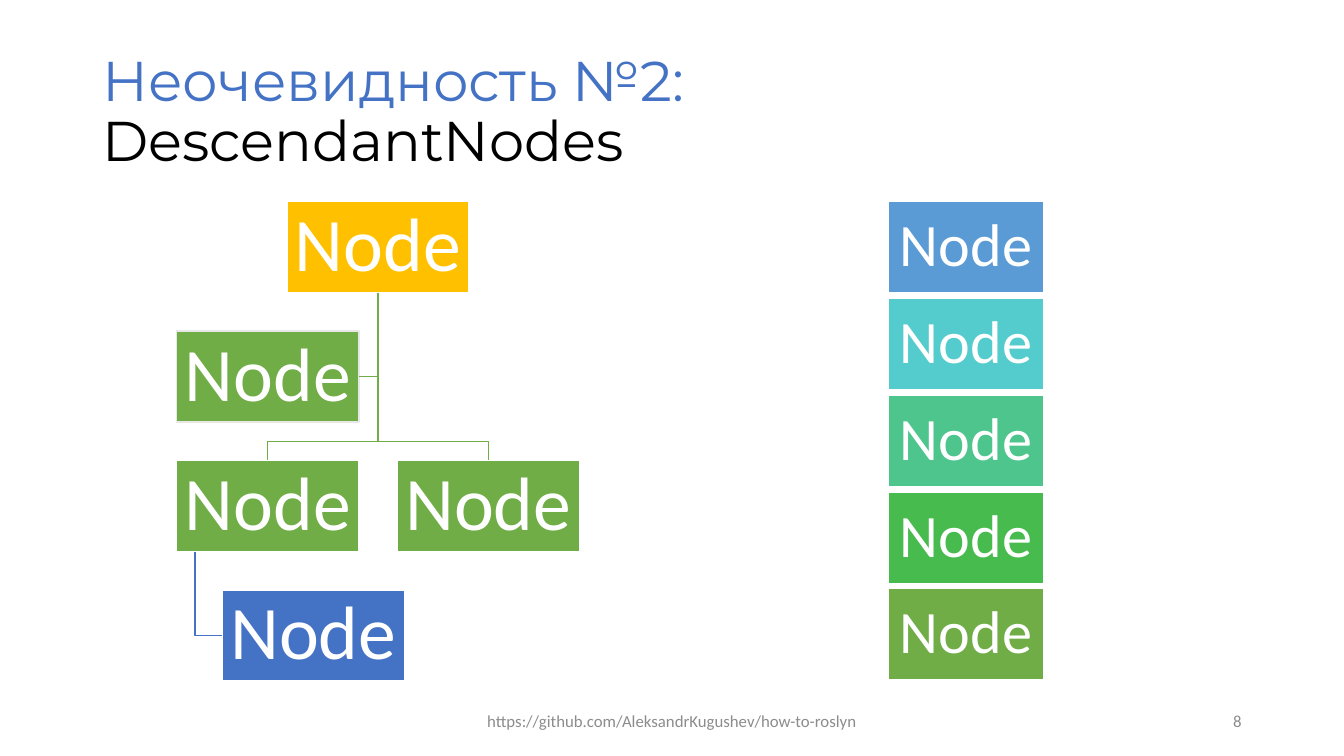
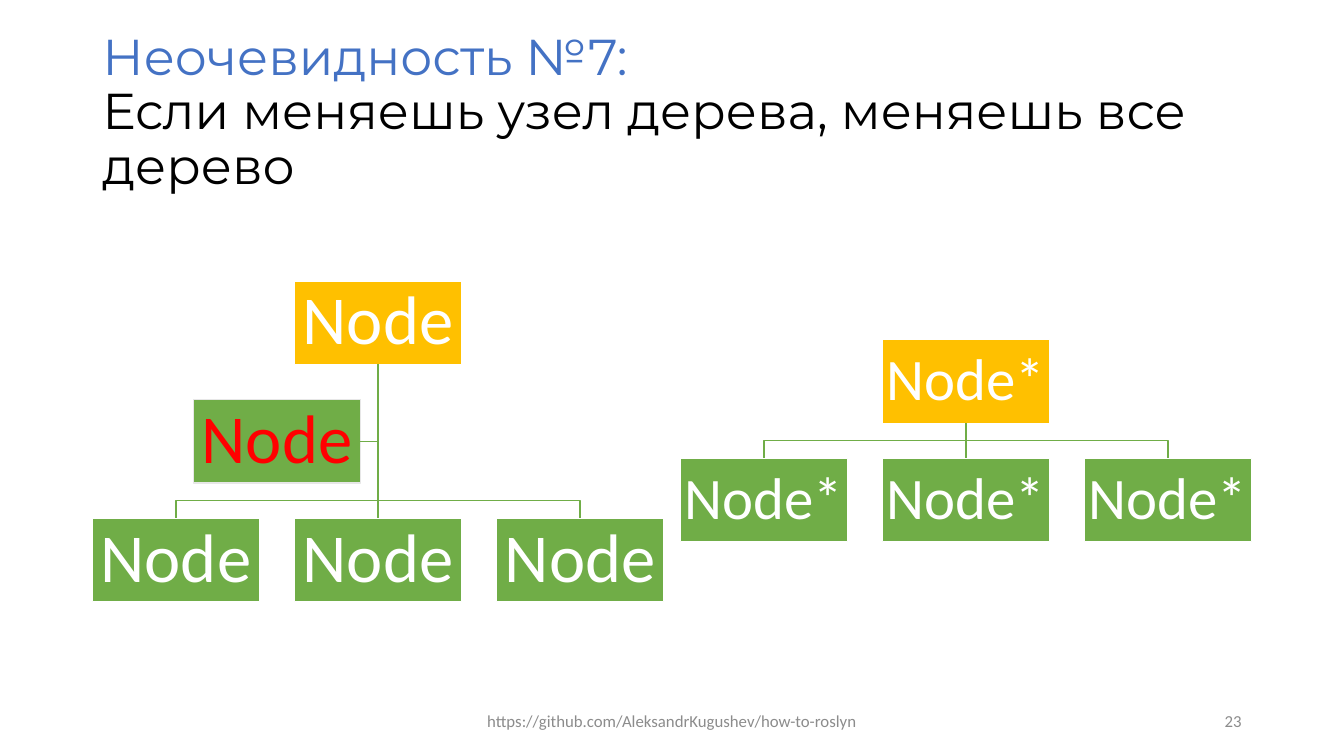
import pptx
import pptx.util
import pptx.dml.color
import pptx.enum.shapes
import pptx.enum.text
from dataclasses import dataclass
from lxml import etree

Pt = pptx.util.Pt
RGB = pptx.dml.color.RGBColor.from_string
ALIGN = pptx.enum.text.PP_ALIGN
MIDDLE = pptx.enum.text.MSO_ANCHOR.MIDDLE
RECT = pptx.enum.shapes.MSO_SHAPE.RECTANGLE
STRAIGHT = pptx.enum.shapes.MSO_CONNECTOR.STRAIGHT


@dataclass(frozen=True)
class Theme:
    title_font: str = "Montserrat"
    body_font: str = "Calibri"
    blue: str = "4472C4"
    green: str = "70AD47"
    gold: str = "FFC000"
    red: str = "FF0000"
    white: str = "FFFFFF"
    black: str = "000000"
    pale: str = "E7E7E7"
    grey: str = "8C8C8C"
    footer_size: int = 12
    line: int = 1


T = Theme()

# Content: trees give the root's centre and top; the rest follows from the box width
FOOTER = "https://github.com/AleksandrKugushev/how-to-roslyn"
SLIDES = [
    dict(
        title=("Неочевидность №2:", "DescendantNodes"), title_size=40, number="8",
        trees=[dict(root="Node", cx=270, top=144, width=130.2, size=54,
                    assistant=("Node", T.white), children=["Node", "Node"],
                    grandchild="Node")],
        column=dict(cx=690, top=144, width=111.4, height=65.4, step=69.1, size=43,
                    items=[("Node", "5B9BD5"), ("Node", "54CCCD"), ("Node", "4DC58D"),
                           ("Node", "48BB4F"), ("Node", T.green)]),
    ),
    dict(
        title=("Неочевидность №7:", "Если меняешь узел дерева, меняешь все дерево"),
        title_size=36, number="23",
        trees=[dict(root="Node", cx=270, top=200.7, width=119.3, size=49,
                    assistant=("Node", T.red), children=["Node"] * 3),
               dict(root="Node*", cx=690, top=242.7, width=119.3, size=42,
                    children=["Node*"] * 3)],
    ),
]


def style(p, font, size, color=None, align=ALIGN.LEFT):
    p.alignment = align
    p.font.name, p.font.size = font, Pt(size)
    if color:
        p.font.color.rgb = RGB(color)


# Shared parts
def add_title(slide, lines, size):
    sp = slide.shapes.title
    sp.left, sp.top, sp.width, sp.height = Pt(66), Pt(28.75), Pt(828), Pt(104.4)
    tf = sp.text_frame
    tf.word_wrap, tf.vertical_anchor = True, MIDDLE
    tf.auto_size = pptx.enum.text.MSO_AUTO_SIZE.NONE
    p = tf.paragraphs[0]
    style(p, T.title_font, size)
    p.line_spacing = 0.9
    for i, (text, color) in enumerate(zip(lines, (T.blue, T.black))):
        if i:
            p.add_line_break()
        r = p.add_run()
        r.text = text
        r.font.color.rgb = RGB(color)


def add_footer(slide, number):
    for text, left, width, align in ((FOOTER, 318, 324, ALIGN.CENTER),
                                     (number, 678, 216, ALIGN.RIGHT)):
        sp = slide.shapes.add_textbox(Pt(left), Pt(500.5), Pt(width), Pt(28.75))
        tf = sp.text_frame
        tf.word_wrap, tf.vertical_anchor = True, MIDDLE
        tf.text = text
        style(tf.paragraphs[0], T.body_font, T.footer_size, T.grey, align)


def add_box(slide, text, left, top, width, height, size, fill,
            color=T.white, border=T.white):
    sp = slide.shapes.add_shape(RECT, Pt(left), Pt(top), Pt(width), Pt(height))
    sp.shadow.inherit = False
    sp.fill.solid()
    sp.fill.fore_color.rgb = RGB(fill)
    sp.line.color.rgb, sp.line.width = RGB(border), Pt(T.line)
    tf = sp.text_frame
    tf.margin_left = tf.margin_right = tf.margin_top = tf.margin_bottom = 0
    tf.word_wrap, tf.vertical_anchor = False, MIDDLE
    tf.text = text
    p = tf.paragraphs[0]
    style(p, T.body_font, size, color, ALIGN.CENTER)
    p.line_spacing = 0.9
    return sp


# Links between nodes
def add_bent_link(slide, points, color=T.green):
    points = [(Pt(x), Pt(y)) for x, y in points]
    fb = slide.shapes.build_freeform(*points[0])
    fb.add_line_segments(points[1:], close=False)
    sp = fb.convert_to_shape()
    sp.shadow.inherit = False
    sp.fill.background()
    sp.line.color.rgb, sp.line.width = RGB(color), Pt(T.line)


def add_straight_link(slide, parent, child):
    cn = slide.shapes.add_connector(STRAIGHT, 0, 0, 0, 0)
    cn.begin_connect(parent, 2)
    cn.end_connect(child, 0)
    cn.line.color.rgb, cn.line.width = RGB(T.green), Pt(T.line)
    sppr = cn._element.spPr
    etree.SubElement(sppr, pptx.oxml.ns.qn("a:effectLst"))


def add_tree(slide, root, cx, top, width, size, children, assistant=None, grandchild=None):
    height, gap = width / 2, 0.21 * width
    step = height + gap

    def node(text, left, level, fill, **look):
        return add_box(slide, text, left, top + level * step, width, height, size, fill, **look)

    root_box = node(root, cx - width / 2, 0, T.gold)
    root_bottom = top + height

    if assistant:
        text, color = assistant
        right = cx - gap / 2
        node(text, right - width, 1, T.green, color=color, border=T.pale)
        middle = top + step + height / 2
        add_bent_link(slide, [(cx, root_bottom), (cx, middle), (right, middle)])

    level = 2 if assistant else 1
    child_top = top + level * step
    bend = child_top - gap / 2
    for i, text in enumerate(children):
        offset = i - (len(children) - 1) / 2
        child_cx = cx + offset * (width + gap)
        child = node(text, child_cx - width / 2, level, T.green)
        if offset:
            add_bent_link(slide, [(cx, root_bottom), (cx, bend),
                                  (child_cx, bend), (child_cx, child_top)])
        else:
            add_straight_link(slide, root_box, child)

    # The grandchild hangs below the first child
    if grandchild:
        first_left = cx - (len(children) - 1) / 2 * (width + gap) - width / 2
        left, trunk = first_left + width / 4, first_left + width / 10
        node(grandchild, left, level + 1, T.blue)
        middle = child_top + step + height / 2
        add_bent_link(slide, [(trunk, child_top + height), (trunk, middle), (left, middle)],
                      T.blue)


def add_column(slide, cx, top, width, height, step, size, items):
    for i, (text, fill) in enumerate(items):
        add_box(slide, text, cx - width / 2, top + i * step, width, height, size, fill)


def main():
    prs = pptx.Presentation()
    prs.slide_width, prs.slide_height = Pt(960), Pt(540)
    for content in SLIDES:
        slide = prs.slides.add_slide(prs.slide_layouts.get_by_name("Title Only"))
        add_title(slide, content["title"], content["title_size"])
        for tree in content["trees"]:
            add_tree(slide, **tree)
        if "column" in content:
            add_column(slide, **content["column"])
        add_footer(slide, content["number"])
    prs.save("out.pptx")


if __name__ == "__main__":
    main()
